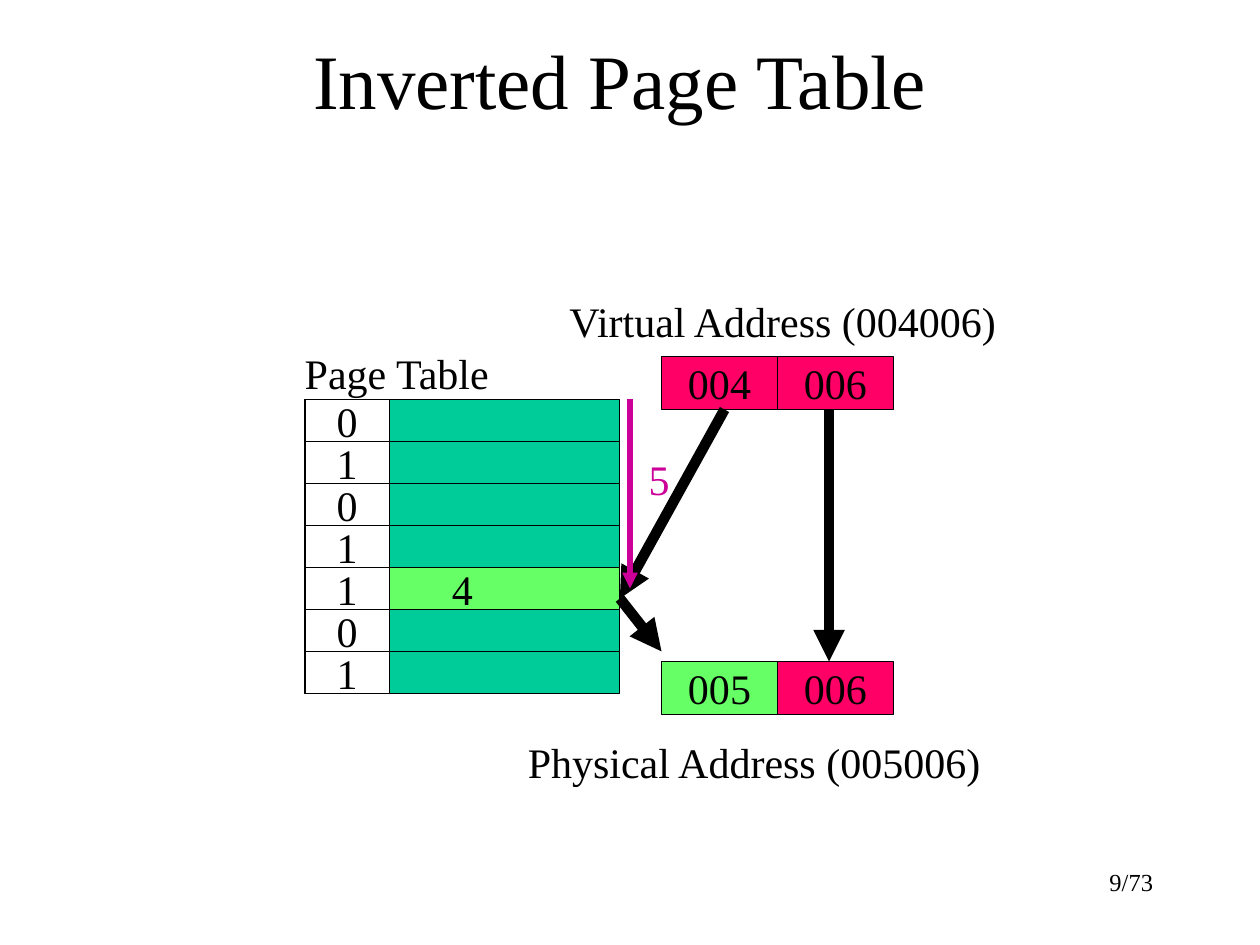
from lxml import etree
from pptx import Presentation
from pptx.dml.color import RGBColor
from pptx.enum.shapes import MSO_CONNECTOR, MSO_SHAPE
from pptx.enum.text import MSO_ANCHOR, PP_ALIGN
from pptx.oxml.ns import qn
from pptx.util import Inches, Pt

RECT, STRAIGHT = MSO_SHAPE.RECTANGLE, MSO_CONNECTOR.STRAIGHT
LEFT, CENTER, RIGHT = PP_ALIGN.LEFT, PP_ALIGN.CENTER, PP_ALIGN.RIGHT
TOP, MIDDLE = MSO_ANCHOR.TOP, MSO_ANCHOR.MIDDLE

FONT = "Times New Roman"
BLACK = RGBColor(0x00, 0x00, 0x00)
WHITE = RGBColor(0xFF, 0xFF, 0xFF)
PINK = RGBColor(0xFF, 0x00, 0x66)
GREEN = RGBColor(0x66, 0xFF, 0x66)
TEAL = RGBColor(0x00, 0xCC, 0x99)
MAGENTA = RGBColor(0xCC, 0x00, 0x99)

TITLE = "Inverted Page Table"
VALID_BITS = ["0", "1", "0", "1", "1", "0", "1"]
ENTRIES = {4: "4"}
ADDRESSES = [
    (2.83, [("004", PINK), ("006", PINK)]),
    (5.25, [("005", GREEN), ("006", PINK)]),
]
LABELS = [
    ("Page Table", (2.32, 2.71, 1.69, 0.5), {}),
    ("Virtual Address (004006)", (4.42, 2.3, 3.62, 0.5), {}),
    ("Physical Address (005006)", (4.09, 5.8, 3.81, 0.5), {}),
    ("5", (5.05, 3.55, 0.36, 0.5), {"color": MAGENTA}),
    ("9/73", (7.17, 6.83, 2.08, 0.5), {"size": 14, "align": RIGHT, "wrap": True}),
]
ARROWS = [
    ((6.58, 3.25), (6.58, 5.25), BLACK, 6),
    ((5.75, 3.25), (4.92, 4.75), BLACK, 6),
    ((4.92, 4.75), (5.25, 5.17), BLACK, 6),
    ((5, 3.17), (5, 4.67), MAGENTA, 3),
]
TABLE_X, TABLE_Y, TABLE_W, BIT_W, ROW_H = 2.42, 3.17, 2.5, 0.67, 1 / 3
FIELD_X, FIELD_W, FIELD_H = 5.25, 0.92, 0.42


def write(sp, text, size=24, color=BLACK, align=LEFT, anchor=TOP, wrap=False):
    tf = sp.text_frame
    tf.word_wrap = wrap
    tf.vertical_anchor = anchor
    p = tf.paragraphs[0]
    p.alignment = align
    r = p.add_run()
    r.text = text
    r.font.name = FONT
    r.font.size = Pt(size)
    r.font.color.rgb = color


def add_box(s, x, y, w, h, fill, text=""):
    sp = s.shapes.add_shape(RECT, Inches(x), Inches(y), Inches(w), Inches(h))
    sp.shadow.inherit = False
    sp.fill.solid()
    sp.fill.fore_color.rgb = fill
    sp.line.color.rgb = BLACK
    sp.line.width = Pt(0.75)
    if text:
        write(sp, text, align=CENTER, anchor=MIDDLE)


def add_arrow(s, start, end, color, width):
    points = [Inches(v) for v in start + end]
    c = s.shapes.add_connector(STRAIGHT, *points)
    c.line.color.rgb = color
    c.line.width = Pt(width)
    etree.SubElement(c.line._get_or_add_ln(), qn("a:tailEnd"), type="triangle")
    etree.SubElement(c._element.spPr, qn("a:effectLst"))


def main():
    prs = Presentation()
    prs.slide_width, prs.slide_height = Inches(10), Inches(7.5)
    s = prs.slides.add_slide(prs.slide_layouts[5])

    title = s.shapes.title
    title.left, title.top = Inches(0.67), Inches(0)
    title.width, title.height = Inches(8.5), Inches(1.25)
    write(title, TITLE, size=44, align=CENTER, anchor=MIDDLE, wrap=True)

    for y, fields in ADDRESSES:
        for i, (text, fill) in enumerate(fields):
            add_box(s, FIELD_X + i * FIELD_W, y, FIELD_W, FIELD_H, fill, text)

    for i, bit in enumerate(VALID_BITS):
        y = TABLE_Y + i * ROW_H
        fill = GREEN if i in ENTRIES else TEAL
        add_box(s, TABLE_X, y, TABLE_W, ROW_H, fill, ENTRIES.get(i, ""))
        add_box(s, TABLE_X, y, BIT_W, ROW_H, WHITE, bit)

    for arrow in ARROWS:
        add_arrow(s, *arrow)

    for text, place, style in LABELS:
        write(s.shapes.add_textbox(*[Inches(v) for v in place]), text, **style)

    prs.save("out.pptx")


if __name__ == "__main__":
    main()
